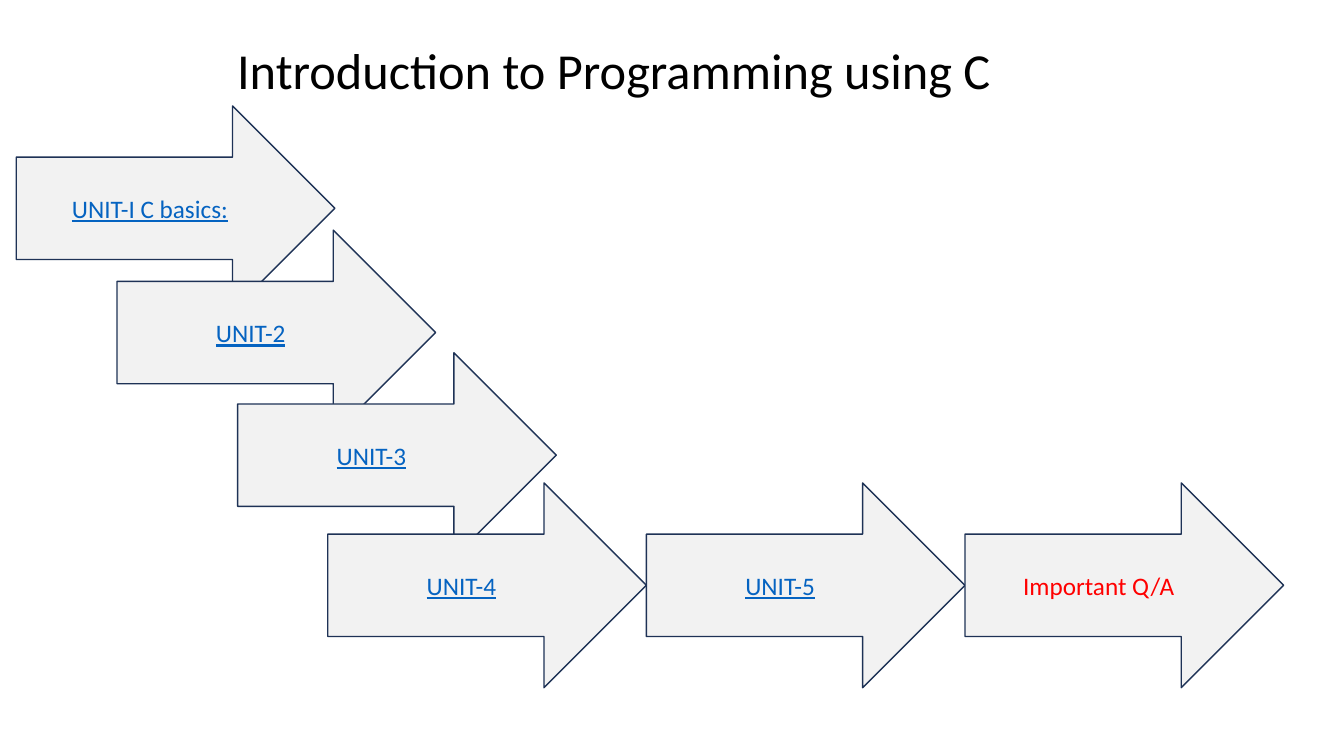
from pptx import Presentation
from pptx.dml.color import RGBColor
from pptx.enum.shapes import MSO_SHAPE
from pptx.enum.text import MSO_ANCHOR, MSO_AUTO_SIZE, PP_ALIGN
from pptx.util import Cm, Pt

COLOURS = {"title": "000000", "fill": "F2F2F2", "outline": "1E3256",
           "unit": "0563C1", "questions": "FF0000"}
ARROW_WIDTH, ARROW_HEIGHT = 8.03, 5.16


def colour(name):
    """Return the named palette colour."""
    return RGBColor.from_string(COLOURS[name])


def write(frame, text, size, colour_name, align, anchor):
    """Put one formatted line of text in a frame."""
    frame.word_wrap = True
    frame.vertical_anchor = anchor
    paragraph = frame.paragraphs[0]
    paragraph.alignment = align
    run = paragraph.add_run()
    run.text = text
    run.font.name = "Calibri"
    run.font.size = Pt(size)
    run.font.color.rgb = colour(colour_name)
    return run


def add_title(slide, left, top, width, height, text):
    """Place the slide title in the given box."""
    title = slide.shapes.title
    title.left, title.top, title.width, title.height = map(Cm, (left, top, width, height))
    write(title.text_frame, text, 36, "title", PP_ALIGN.LEFT, MSO_ANCHOR.TOP)
    title.text_frame.auto_size = MSO_AUTO_SIZE.NONE
    title.text_frame.paragraphs[0].line_spacing = 1.0


def add_arrow(slide, left, top, text, colour_name="unit"):
    """Draw one labelled arrow; unit labels are underlined."""
    arrow = slide.shapes.add_shape(MSO_SHAPE.RIGHT_ARROW, Cm(left), Cm(top),
                                   Cm(ARROW_WIDTH), Cm(ARROW_HEIGHT))
    arrow.shadow.inherit = False
    arrow.fill.solid()
    arrow.fill.fore_color.rgb = colour("fill")
    arrow.line.color.rgb = colour("outline")
    arrow.line.width = Pt(1)
    run = write(arrow.text_frame, text, 18, colour_name, PP_ALIGN.CENTER, MSO_ANCHOR.MIDDLE)
    run.font.underline = colour_name == "unit"


def add_staircase(slide, left, top, steps):
    """Draw arrows stepping down from the given corner."""
    for text, across, down in steps:
        add_arrow(slide, left + across, top + down, text)


def add_row(slide, left, top, labels):
    """Draw arrows tip to tail from the given corner."""
    for index, (text, colour_name) in enumerate(labels):
        add_arrow(slide, left + index * ARROW_WIDTH, top, text, colour_name)


def main():
    """Build and save the slide."""
    presentation = Presentation()
    presentation.slide_width, presentation.slide_height = Cm(33.87), Cm(19.05)
    slide = presentation.slides.add_slide(presentation.slide_layouts[5])
    add_title(slide, 5.72, 0.86, 21.13, 1.8, "Introduction to Programming using C")
    add_staircase(slide, 0.41, 2.67, [("UNIT-I C basics:", 0, 0),
                                      ("UNIT-2", 2.54, 3.13),
                                      ("UNIT-3", 5.58, 6.22)])
    add_row(slide, 8.26, 12.17, [("UNIT-4", "unit"), ("UNIT-5", "unit"),
                                 ("Important Q/A", "questions")])
    presentation.save("out.pptx")


main()
